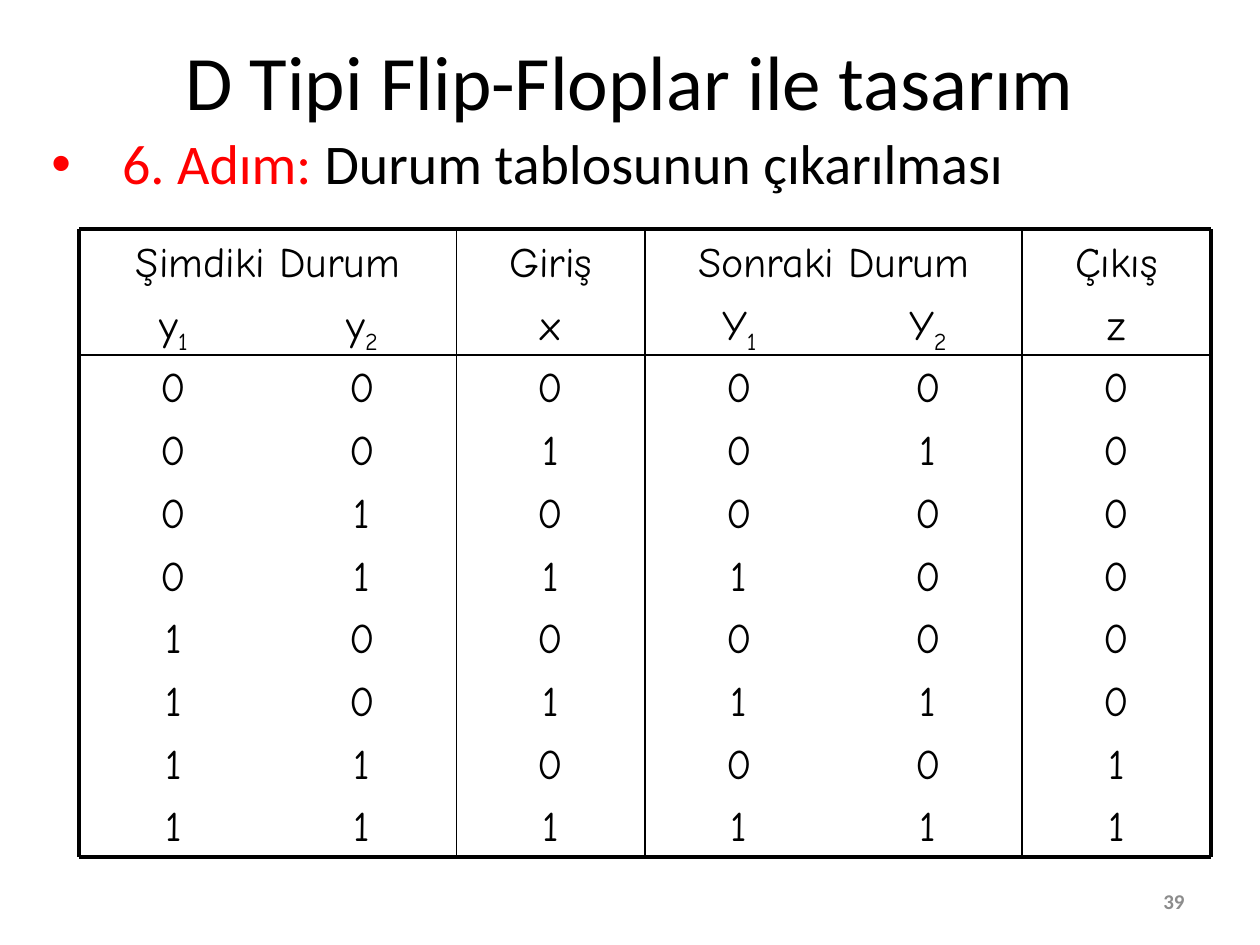
from dataclasses import dataclass

from pptx import Presentation
from pptx.dml.color import RGBColor as Color
from pptx.enum.shapes import MSO_CONNECTOR as Link
from pptx.enum.text import MSO_ANCHOR as Anchor, PP_ALIGN as Align
from pptx.oxml import parse_xml
from pptx.oxml.ns import nsdecls
from pptx.util import Inches, Pt


@dataclass(frozen=True)
class Theme:
    ink: str = "000000"
    red: str = "FF0000"
    gray: str = "8C8C8C"
    sans: str = "Calibri"
    comic: str = "Comic Neue"
    title: int = 44
    body: int = 32
    cell: int = 24
    page: int = 12
    thick: float = 2.25
    thin: float = 1


@dataclass(frozen=True)
class Box:
    left: float
    top: float
    width: float
    height: float

    def lengths(self) -> tuple:
        return tuple(Inches(n) for n in (self.left, self.top, self.width, self.height))


@dataclass(frozen=True)
class Head:
    text: str
    first: int
    last: int


THEME = Theme()
GRID = Box(0.63, 1.82, 8.98, 4.98)
HEADS = [Head("Şimdiki Durum", 0, 1), Head("Giriş", 2, 2),
         Head("Sonraki Durum", 3, 4), Head("Çıkış", 5, 5)]
NAMES = ["y1", "y2", "x", "Y1", "Y2", "z"]
STATES = ["000000", "001010", "010000", "011100",
          "100000", "101110", "110001", "111111"]
COUNT = len(STATES) + 2
WIDE, HIGH = GRID.width / len(NAMES), GRID.height / COUNT

# Rule widths by the grid edge they lie on
COLS = {0: THEME.thick, 2: THEME.thin, 3: THEME.thin, 5: THEME.thin, 6: THEME.thick}
ROWS = {0: THEME.thick, 2: THEME.thin, COUNT: THEME.thick}

# The second row is taller for its subscripts; the others make up for it
EXTRA = [-0.02, 0.06] + [0] * (len(STATES) - 1) + [-0.04]
TOPS = [0.08, 0.1] + [0.04] * len(STATES)
PLAIN = "{2D5ABB26-0587-4C30-8999-92F81FD0307C}"  # no style, no grid


def style(run, font: str, size: int, color: str, bold: bool = False) -> None:
    run.font.name = font
    run.font.size = Pt(size)
    run.font.color.rgb = Color.from_string(color)
    run.font.bold = bold


def add_text(slide, box: Box, parts: list, size: int, bold: bool = False):
    """Add a one-line text box of (text, colour) parts."""
    frame = slide.shapes.add_textbox(*box.lengths()).text_frame
    frame.word_wrap = True
    line = frame.paragraphs[0]
    for text, color in parts:
        run = line.add_run()
        run.text = text
        style(run, THEME.sans, size, color, bold)
    return frame


def add_bullet(line, left: float, hang: float) -> None:
    props = line._p.get_or_add_pPr()
    props.set("marL", str(Inches(left)))
    props.set("indent", str(-Inches(hang)))
    props.append(parse_xml(f'<a:buFont {nsdecls("a")} typeface="Arial"/>'))
    props.append(parse_xml(f'<a:buChar {nsdecls("a")} char="•"/>'))


def add_rule(slide, box: Box, width: float) -> None:
    left, top, wide, high = box.lengths()
    rule = slide.shapes.add_connector(Link.STRAIGHT, left, top, left + wide, top + high)
    rule.line.width = Pt(width)
    rule.line.color.rgb = Color.from_string(THEME.ink)
    rule._element.spPr.append(parse_xml(f'<a:effectLst {nsdecls("a")}/>'))


def fill_cell(cell, text: str, index: str = "") -> None:
    line = cell.text_frame.paragraphs[0]
    line.alignment = Align.CENTER
    for part in filter(None, (text, index)):
        run = line.add_run()
        run.text = part
        style(run, THEME.comic, THEME.cell, THEME.ink)
        if part is index:
            run.font._element.set("baseline", "-25000")


def add_states(slide) -> None:
    table = slide.shapes.add_table(COUNT, len(NAMES), *GRID.lengths()).table
    table.first_row = table.horz_banding = False
    table._tbl.tblPr[0].text = PLAIN
    for col in table.columns:
        col.width = Inches(WIDE)
    for row, extra, top in zip(table.rows, EXTRA, TOPS):
        row.height = Inches(HIGH + extra)
        for cell in row.cells:
            cell.margin_top, cell.margin_bottom = Inches(top), 0
            cell.fill.background()

    for head in HEADS:
        cell = table.cell(0, head.first)
        if head.last > head.first:
            cell.merge(table.cell(0, head.last))
        fill_cell(cell, head.text)
    for col, name in enumerate(NAMES):
        fill_cell(table.cell(1, col), name[0], name[1:])
    for row, state in enumerate(STATES, 2):
        for col, bit in enumerate(state):
            fill_cell(table.cell(row, col), bit)


def main() -> None:
    deck = Presentation()
    deck.slide_width, deck.slide_height = Inches(10), Inches(7.5)
    slide = deck.slides.add_slide(deck.slide_layouts[5])

    # Title
    title = slide.shapes.title
    title.left, title.top, title.width, title.height = Box(0.5, 0.01, 9, 1.25).lengths()
    frame = title.text_frame
    frame.text = "D Tipi Flip-Floplar ile tasarım"
    frame.vertical_anchor = Anchor.MIDDLE
    frame.paragraphs[0].alignment = Align.CENTER
    style(frame.paragraphs[0].runs[0], THEME.sans, THEME.title, THEME.ink)

    # Step line
    parts = [("6. Adım: ", THEME.red), ("Durum tablosunun çıkarılması", THEME.ink)]
    step = add_text(slide, Box(0.25, 1.03, 9.58, 0.65), parts, THEME.body).paragraphs[0]
    add_bullet(step, 0.62, 0.56)
    step.line_spacing = 0.9

    # Page number
    page = add_text(slide, Box(7.17, 6.95, 2.33, 0.4), [("39", THEME.gray)], THEME.page, True)
    page.vertical_anchor = Anchor.MIDDLE
    page.paragraphs[0].alignment = Align.RIGHT

    # State table and its rules
    add_states(slide)
    for row, width in ROWS.items():
        add_rule(slide, Box(GRID.left, GRID.top + row * HIGH, GRID.width, 0), width)
    for col, width in COLS.items():
        add_rule(slide, Box(GRID.left + col * WIDE, GRID.top, 0, GRID.height), width)

    deck.save("out.pptx")


if __name__ == "__main__":
    main()
